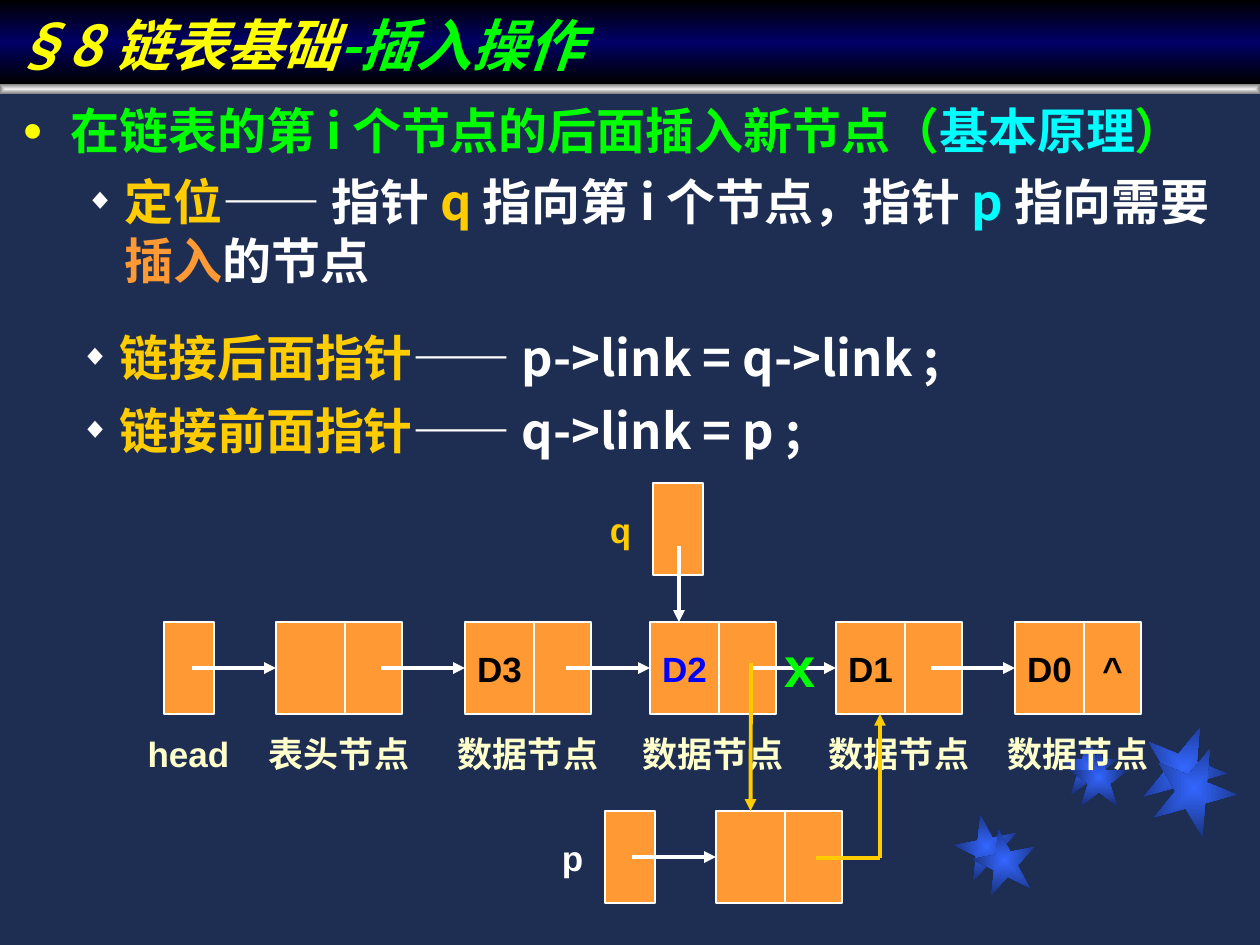
from dataclasses import dataclass
from typing import NamedTuple, Optional

from lxml import etree
from pptx import Presentation
from pptx import util as u
from pptx.dml.color import RGBColor
from pptx.enum import shapes, text
from pptx.oxml import parse_xml
from pptx.oxml.ns import nsdecls, qn

PX = 914400 / 126  # EMU in one px


@dataclass(frozen=True)
class Theme:
    background: str = "1E2E53"
    yellow: str = "FFFF00"
    green: str = "00FF00"
    cyan: str = "00FFFF"
    gold: str = "FFCC00"
    orange: str = "FF9933"
    white: str = "FFFFFF"
    cream: str = "FFFFCC"
    blue: str = "0000FF"
    black: str = "000000"
    star_stops: tuple = ((0, "3366FF"), (100, "182F76"))
    bar_stops: tuple = ((0, "EDEDED"), (100, "808080"))
    title_stops: tuple = ((0, "000000"), (50, "000066"), (100, "000000"))
    latin: str = "Arial"
    chinese: str = "Noto Sans CJK SC"
    big: int = 32
    body: int = 28
    small: int = 20


THEME = Theme()


class Box(NamedTuple):
    left: int
    top: int
    width: int
    height: int


class Piece(NamedTuple):
    text: str
    color: str
    font: str = THEME.chinese


class Bullet(NamedTuple):
    char: str
    color: str
    percent: int
    margin: int
    indent: int
    level: int


class Node(NamedTuple):
    left: int
    caption: str
    data: str = ""
    link: str = ""
    color: str = THEME.black


DOT = Bullet("●", THEME.yellow, 70, 48, -48, 0)
DIAMOND = Bullet("◆", THEME.white, 60, 102, -39, 1)
ROW_TOP, P_TOP, Q_TOP = 622, 811, 483
CELL_HEIGHT, POINTER_WIDTH, DATA_WIDTH, LINK_WIDTH = 92, 50, 69, 57
ARROW = 84
CAPTION_TOP, CAPTION_OVERHANG = 723, 15


def emu(px: float) -> u.Emu:
    return u.Emu(round(px * PX))


def place(box: Box) -> tuple:
    return tuple(emu(value) for value in box)


def rgb(color: str) -> RGBColor:
    return RGBColor.from_string(color)


def style_run(run, color: str, size: int, font: str, east_asian: str = "",
              italic: bool = False) -> None:
    run.font.size, run.font.bold, run.font.name = u.Pt(size), True, font
    if italic:
        run.font.italic = True
    run.font.color.rgb = rgb(color)
    if east_asian:
        run.font._element.find(qn("a:latin")).addnext(
            parse_xml(f'<a:ea {nsdecls("a")} typeface="{east_asian}"/>'))


def fill_gradient(shape, stops: tuple, direction: str) -> None:
    points = "".join(f'<a:gs pos="{position * 1000}"><a:srgbClr val="{color}"/></a:gs>'
                     for position, color in stops)
    shape.fill.solid()
    properties = shape._element.spPr
    properties.replace(properties.find(qn("a:solidFill")), parse_xml(
        f'<a:gradFill {nsdecls("a")} rotWithShape="1"><a:gsLst>{points}</a:gsLst>'
        f"{direction}</a:gradFill>"))
    shape.line.fill.background()


FROM_CENTER = ('<a:path path="rect"><a:fillToRect l="50000" t="50000" r="50000" '
               'b="50000"/></a:path>')
DOWNWARD = '<a:lin ang="5400000" scaled="0"/>'


def add_gradient_shape(slide, kind, box: Box, stops: tuple, rotation: int = 0) -> None:
    shape = slide.shapes.add_shape(kind, *place(box))
    shape.shadow.inherit = False
    shape.rotation = rotation
    fill_gradient(shape, stops, FROM_CENTER)


def write_pieces(paragraph, pieces: list, size: int, italic: bool = False) -> None:
    for piece in pieces:
        run = paragraph.add_run()
        run.text = piece.text
        east_asian = THEME.chinese if piece.font == THEME.chinese else ""
        style_run(run, piece.color, size, piece.font, east_asian, italic)


def write_label(shape, words: str, color: str, size: int) -> None:
    frame = shape.text_frame
    frame.text = words
    frame.word_wrap = False
    frame.margin_left = frame.margin_right = 0
    frame.vertical_anchor = text.MSO_ANCHOR.MIDDLE
    frame.paragraphs[0].alignment = text.PP_ALIGN.CENTER
    style_run(frame.paragraphs[0].runs[0], color, size, THEME.latin, THEME.chinese)


def add_label(slide, box: Box, words: str, color: str, size: int = THEME.small) -> None:
    write_label(slide.shapes.add_textbox(*place(box)), words, color, size)


def add_caption(slide, left: int, width: int, words: str) -> None:
    add_label(slide, Box(left - CAPTION_OVERHANG, CAPTION_TOP,
                         width + 2 * CAPTION_OVERHANG, 60), words, THEME.cream)


def add_bullets(slide, box: Box, items: list, spacing: float) -> None:
    frame = slide.shapes.add_textbox(*place(box)).text_frame
    frame.word_wrap = True
    for index, (bullet, pieces) in enumerate(items):
        paragraph = frame.add_paragraph() if index else frame.paragraphs[0]
        paragraph.level = bullet.level
        paragraph.line_spacing = spacing
        if index:
            paragraph.space_before = u.Pt(7)
        properties = paragraph._p.get_or_add_pPr()
        properties.set("marL", str(emu(bullet.margin)))
        properties.set("indent", str(emu(bullet.indent)))
        color = etree.SubElement(properties, qn("a:buClr"))
        etree.SubElement(color, qn("a:srgbClr"), val=bullet.color)
        etree.SubElement(properties, qn("a:buSzPct"), val=str(bullet.percent * 1000))
        etree.SubElement(properties, qn("a:buFont"), typeface=THEME.latin)
        etree.SubElement(properties, qn("a:buChar"), char=bullet.char)
        write_pieces(paragraph, pieces, THEME.body)


def add_cell(slide, left: int, top: int, width: int, words: str = "",
             color: str = THEME.black):
    cell = slide.shapes.add_shape(shapes.MSO_SHAPE.RECTANGLE,
                                  *place(Box(left, top, width, CELL_HEIGHT)))
    cell.shadow.inherit = False
    cell.fill.solid()
    cell.fill.fore_color.rgb = rgb(THEME.orange)
    cell.line.color.rgb = rgb(THEME.white)
    cell.line.width = u.Pt(0.75)
    if words:
        write_label(cell, words, color, THEME.small)
    return cell


def add_node(slide, node: Node, top: int):
    data = add_cell(slide, node.left, top, DATA_WIDTH, node.data, node.color)
    add_cell(slide, node.left + DATA_WIDTH, top, LINK_WIDTH, node.link)
    return data


def add_line(slide, start: tuple, end: tuple, color: str, arrow: bool = True,
             target=None, side: Optional[int] = None) -> None:
    line = slide.shapes.add_connector(shapes.MSO_CONNECTOR.STRAIGHT,
                                      *(emu(value) for value in start + end))
    if target is not None:
        line.end_connect(target, side)
    line.line.color.rgb = rgb(color)
    line.line.width = u.Pt(2.25)
    if arrow:
        etree.SubElement(line.line._get_or_add_ln(), qn("a:tailEnd"), type="triangle")
    etree.SubElement(line._element.spPr, qn("a:effectLst"))


def add_link(slide, left: int, top: int, target) -> None:
    middle = top + CELL_HEIGHT // 2
    add_line(slide, (left - ARROW, middle), (left, middle), THEME.white,
             target=target, side=1)


def add_pointer(slide, left: int, top: int, name: str, color: str) -> None:
    add_cell(slide, left, top, POINTER_WIDTH)
    add_label(slide, Box(left - 60, top + 17, 55, 60), name, color)


def main() -> None:
    presentation = Presentation()
    presentation.slide_width, presentation.slide_height = u.Inches(10), u.Inches(7.5)
    slide = presentation.slides.add_slide(presentation.slide_layouts[5])
    slide.background.fill.solid()
    slide.background.fill.fore_color.rgb = rgb(THEME.background)

    # Title band
    title = slide.shapes.title
    title.left, title.top, title.width, title.height = place(Box(0, 0, 1260, 84))
    fill_gradient(title, THEME.title_stops, DOWNWARD)
    title.text_frame.auto_size = text.MSO_AUTO_SIZE.NONE
    title.text_frame.vertical_anchor = text.MSO_ANCHOR.BOTTOM
    heading = title.text_frame.paragraphs[0]
    heading.alignment = text.PP_ALIGN.LEFT
    write_pieces(heading, [Piece("§8 链表基础", THEME.yellow),
                           Piece("-插入操作", THEME.green)], THEME.big, italic=True)

    # Corner stars and the bar under the title
    for left, top, size, rotation in ((955, 815, 63, 349), (1060, 737, 58, 0),
                                      (1142, 725, 84, 22), (973, 829, 63, 349),
                                      (1070, 748, 58, 0), (1152, 746, 84, 22)):
        add_gradient_shape(slide, shapes.MSO_SHAPE.STAR_5_POINT,
                           Box(left, top, size, size), THEME.star_stops, rotation)
    add_gradient_shape(slide, shapes.MSO_SHAPE.RECTANGLE, Box(0, 84, 1260, 10),
                       THEME.bar_stops)

    # Explanation and the two link steps
    add_bullets(slide, Box(10, 94, 1250, 217), [
        (DOT, [Piece("在链表的第 i 个节点的后面插入新节点（", THEME.green),
               Piece("基本原理", THEME.cyan), Piece("）", THEME.green)]),
        (DIAMOND, [Piece("定位", THEME.gold), Piece("——", THEME.white, THEME.latin),
                   Piece(" 指针 ", THEME.white), Piece("q ", THEME.gold),
                   Piece("指向第 i 个节点，指针 ", THEME.white), Piece("p ", THEME.cyan),
                   Piece("指向需要", THEME.white), Piece("插入", THEME.orange),
                   Piece("的节点", THEME.white)])], 1.0)
    for top, step, code in ((315, "链接后面指针", "p->link = q->link ;"),
                            (388, "链接前面指针", "q->link = p ;")):
        add_bullets(slide, Box(5, top, 1223, 73), [
            (DIAMOND, [Piece(step, THEME.gold), Piece("—— ", THEME.white, THEME.latin),
                       Piece(code, THEME.white)])], 1.1)

    # Linked list
    nodes = [Node(276, "表头节点"), Node(465, "数据节点", "D3"),
             Node(650, "数据节点", "D2", color=THEME.blue),
             Node(836, "数据节点", "D1"), Node(1015, "数据节点", "D0", "^")]
    add_cell(slide, 164, ROW_TOP, POINTER_WIDTH)
    add_caption(slide, 151, 75, "head")
    for node in nodes:
        data = add_node(slide, node, ROW_TOP)
        add_caption(slide, node.left, DATA_WIDTH + LINK_WIDTH, node.caption)
        add_link(slide, node.left, ROW_TOP, data)

    # Pointers p and q
    add_pointer(slide, 605, P_TOP, "p", THEME.white)
    new_data = add_node(slide, Node(716, ""), P_TOP)
    add_link(slide, 716, P_TOP, new_data)
    add_pointer(slide, 653, Q_TOP, "q", THEME.gold)
    add_line(slide, (679, 546), (679, ROW_TOP), THEME.white)

    # New links and the broken one
    add_line(slide, (880, 858), (880, ROW_TOP + CELL_HEIGHT), THEME.gold)
    add_line(slide, (880, 858), (816, 858), THEME.gold, arrow=False)
    add_line(slide, (751, 663), (751, P_TOP), THEME.gold, target=new_data, side=0)
    add_label(slide, Box(775, 643, 50, 45), "x", THEME.green, THEME.big)

    presentation.save("out.pptx")


if __name__ == "__main__":
    main()
